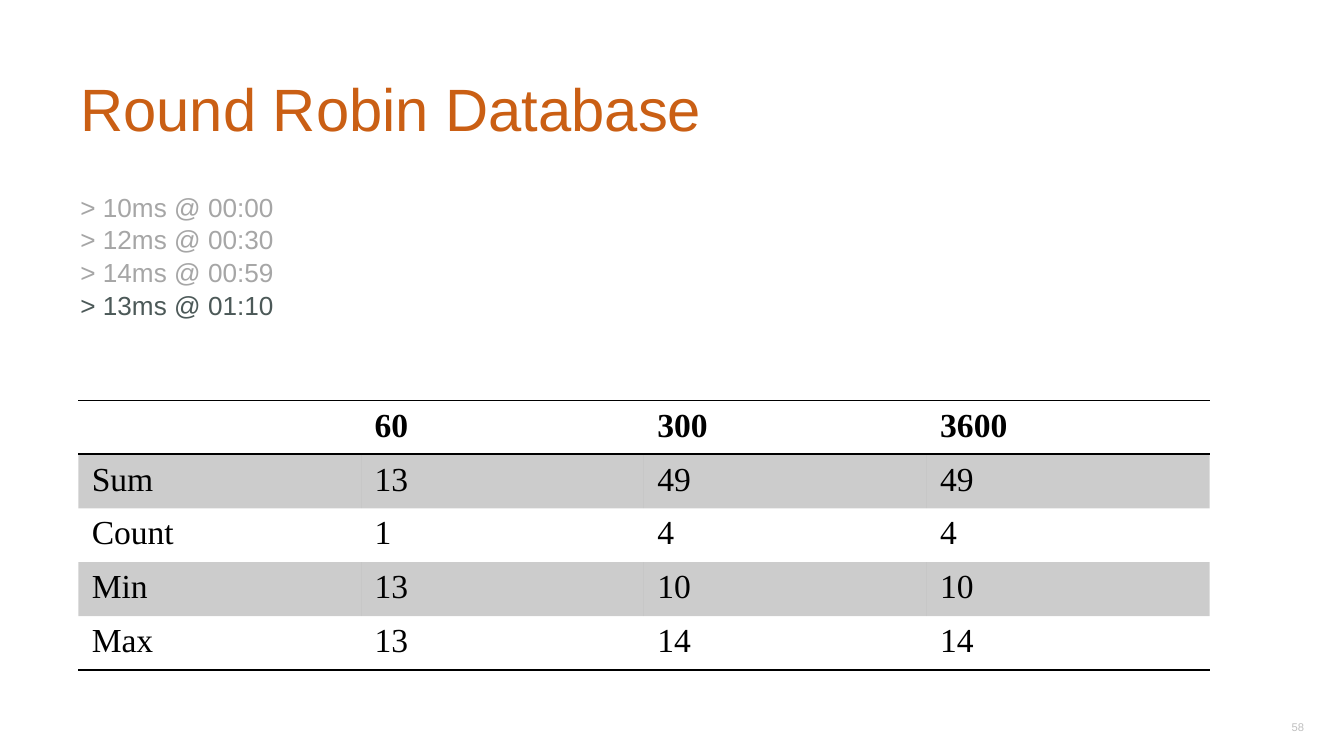
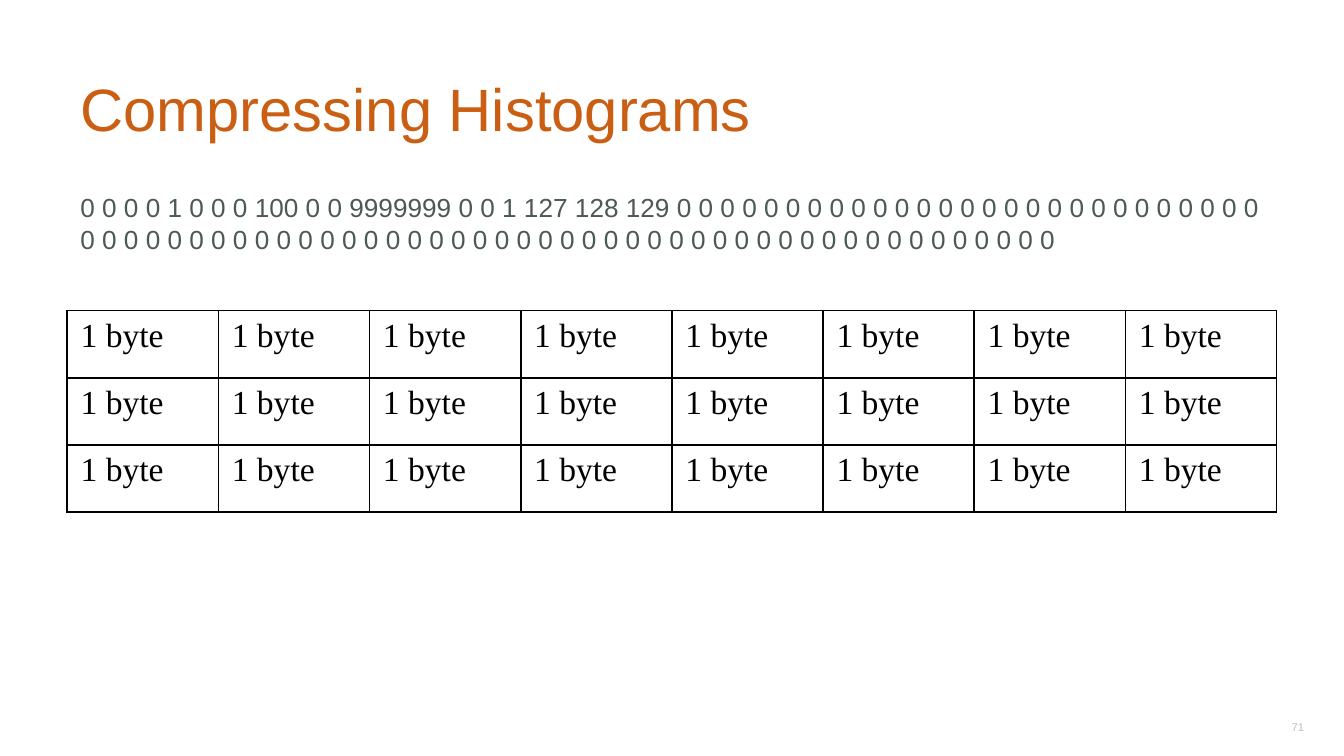
import dataclasses

import lxml.etree
import pptx
import pptx.dml.color
import pptx.enum.text
import pptx.oxml.ns
import pptx.util

Cm = pptx.util.Cm
Pt = pptx.util.Pt
Rgb = pptx.dml.color.RGBColor.from_string
Align = pptx.enum.text.PP_ALIGN
Anchor = pptx.enum.text.MSO_ANCHOR
qn = pptx.oxml.ns.qn


@dataclasses.dataclass(frozen=True)
class Theme:
    """Colours, fonts and sizes shared by the slides."""
    accent: str = "CA5F14"
    text: str = "4C5958"
    faded: str = "A6A6A6"
    number: str = "BFBFBF"
    ink: str = "000000"
    sans: str = "Arial"
    serif: str = "Times New Roman"
    title_size: int = 32
    body_size: int = 14
    cell_size: int = 18
    number_size: int = 6
    band_alpha: int = 20
    rule: int = 1
    plain: str = "{2D5ABB26-0587-4C30-8999-92F81FD0307C}"


@dataclasses.dataclass(frozen=True)
class Box:
    """A region in centimetres."""
    left: float
    top: float
    width: float
    height: float

    def place(self):
        """Return the region as lengths."""
        return Cm(self.left), Cm(self.top), Cm(self.width), Cm(self.height)


THEME = Theme()
PAGE = Box(0, 0, 25.4, 14.29)


def style(par, font, size, color, bold=False):
    """Format every run of a paragraph."""
    for run in par.runs:
        run.font.name = font
        run.font.size = Pt(size)
        run.font.bold = bold
        run.font.color.rgb = Rgb(color)


def write(slide, box, lines, size, anchor=Anchor.TOP, align=Align.LEFT, space=1.0):
    """Add a text box from pairs of wording and colour."""
    frame = slide.shapes.add_textbox(*box.place()).text_frame
    frame.word_wrap = True
    frame.vertical_anchor = anchor
    frame.margin_left = frame.margin_right = Cm(0.25)
    frame.margin_top = frame.margin_bottom = Cm(0.25)
    frame.text = "\n".join(text for text, color in lines)
    for par, (text, color) in zip(frame.paragraphs, lines):
        par.alignment = align
        par.line_spacing = space
        style(par, THEME.sans, size, color)


def base(deck, box, title, lines, number):
    """Add a slide with its title, body and number."""
    slide = deck.slides.add_slide(deck.slide_layouts[6])
    head = Box(box.left + 1.27, box.top + 0.58, box.width - 2.54, 2.39)
    body = Box(head.left, box.top + 3.33, head.width, 10.34)
    foot = Box(box.left + box.width - 1.63, box.top + box.height - 1.1, 1.52, 1.09)
    write(slide, head, [(title, THEME.accent)], THEME.title_size, Anchor.BOTTOM)
    write(slide, body, lines, THEME.body_size, space=1.05)
    write(slide, foot, [(str(number), THEME.number)], THEME.number_size,
          Anchor.MIDDLE, Align.CENTER)
    return slide


def border(cell, sides):
    """Draw solid rules on the named sides of a cell."""
    props = cell._tc.get_or_add_tcPr()
    for spot, side in enumerate(s for s in "LRTB" if s in sides):
        line = lxml.etree.Element(qn("a:ln" + side), w=str(Pt(THEME.rule)))
        fill = lxml.etree.SubElement(line, qn("a:solidFill"))
        lxml.etree.SubElement(fill, qn("a:srgbClr"), val=THEME.ink)
        props.insert(spot, line)


def shade(cell):
    """Fill a cell with the see-through band colour."""
    cell.fill.solid()
    cell.fill.fore_color.rgb = Rgb(THEME.ink)
    color = cell._tc.tcPr.find(".//" + qn("a:srgbClr"))
    lxml.etree.SubElement(color, qn("a:alpha"), val=str(THEME.band_alpha * 1000))


def grid(slide, box, rows, heights, sides, bands=False):
    """Add a table whose rules come from a function of the row index."""
    table = slide.shapes.add_table(len(rows), len(rows[0]), *box.place()).table
    table.first_row = table.horz_banding = False
    table._tbl.tblPr.find(qn("a:tableStyleId")).text = THEME.plain
    for col in table.columns:
        col.width = Cm(box.width / len(rows[0]))
    for r, (row, height) in enumerate(zip(rows, heights)):
        table.rows[r].height = Cm(height)
        for c, text in enumerate(row):
            cell = table.cell(r, c)
            cell.text_frame.text = text
            style(cell.text_frame.paragraphs[0], THEME.serif, THEME.cell_size,
                  THEME.ink, bands and r == 0)
            if bands and r % 2:
                shade(cell)
            else:
                cell.fill.background()
            border(cell, sides(r))


def robin(deck, box):
    """Build the round robin slide."""
    times = ["10ms @ 00:00", "12ms @ 00:30", "14ms @ 00:59", "13ms @ 01:10"]
    lines = [("> " + time, THEME.faded) for time in times[:-1]]
    lines.append(("> " + times[-1], THEME.text))
    slide = base(deck, box, "Round Robin Database", lines, 58)
    rows = [
        ["", "60", "300", "3600"],
        ["Sum", "13", "49", "49"],
        ["Count", "1", "4", "4"],
        ["Min", "13", "10", "10"],
        ["Max", "13", "14", "14"],
    ]
    rules = {0: "TB", len(rows) - 1: "B"}
    area = Box(box.left + 1.48, box.top + 7.57, 21.38, 5.08)
    grid(slide, area, rows, [0.58] + [1.02] * 4, lambda r: rules.get(r, ""), True)


def bytes_grid(deck, box):
    """Build the histogram slide."""
    start = "0 0 0 0 1 0 0 0 100 0 0 9999999 0 0 1 127 128 129"
    counts = " ".join([start] + ["0"] * 72)
    slide = base(deck, box, "Compressing Histograms", [(counts, THEME.text)], 71)
    area = Box(box.left + 1.27, box.top + 5.87, box.width - 2.54, 3.81)
    grid(slide, area, [["1 byte"] * 8] * 3, [area.height / 3] * 3, lambda r: "LRTB")


def main():
    """Build and save the deck."""
    deck = pptx.Presentation()
    deck.slide_width, deck.slide_height = Cm(PAGE.width), Cm(PAGE.height)
    robin(deck, PAGE)
    bytes_grid(deck, PAGE)
    deck.save("out.pptx")


if __name__ == "__main__":
    main()
